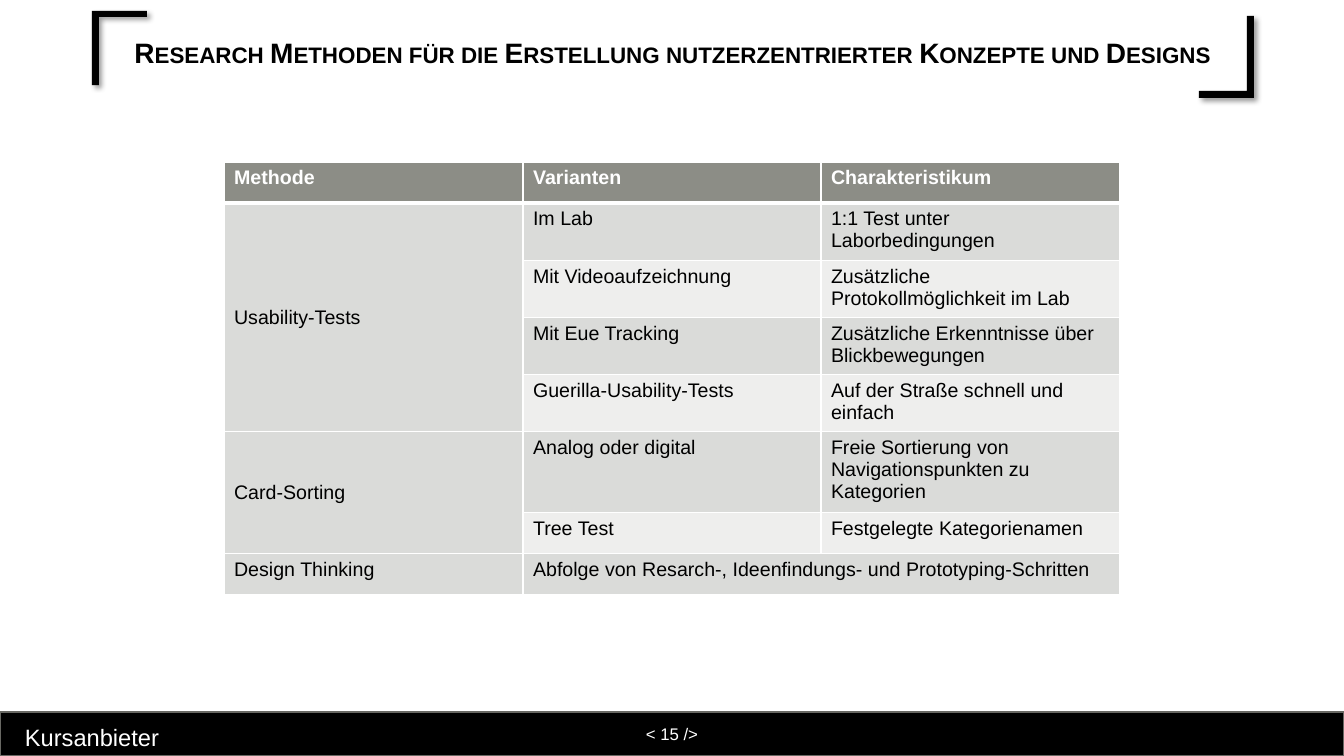
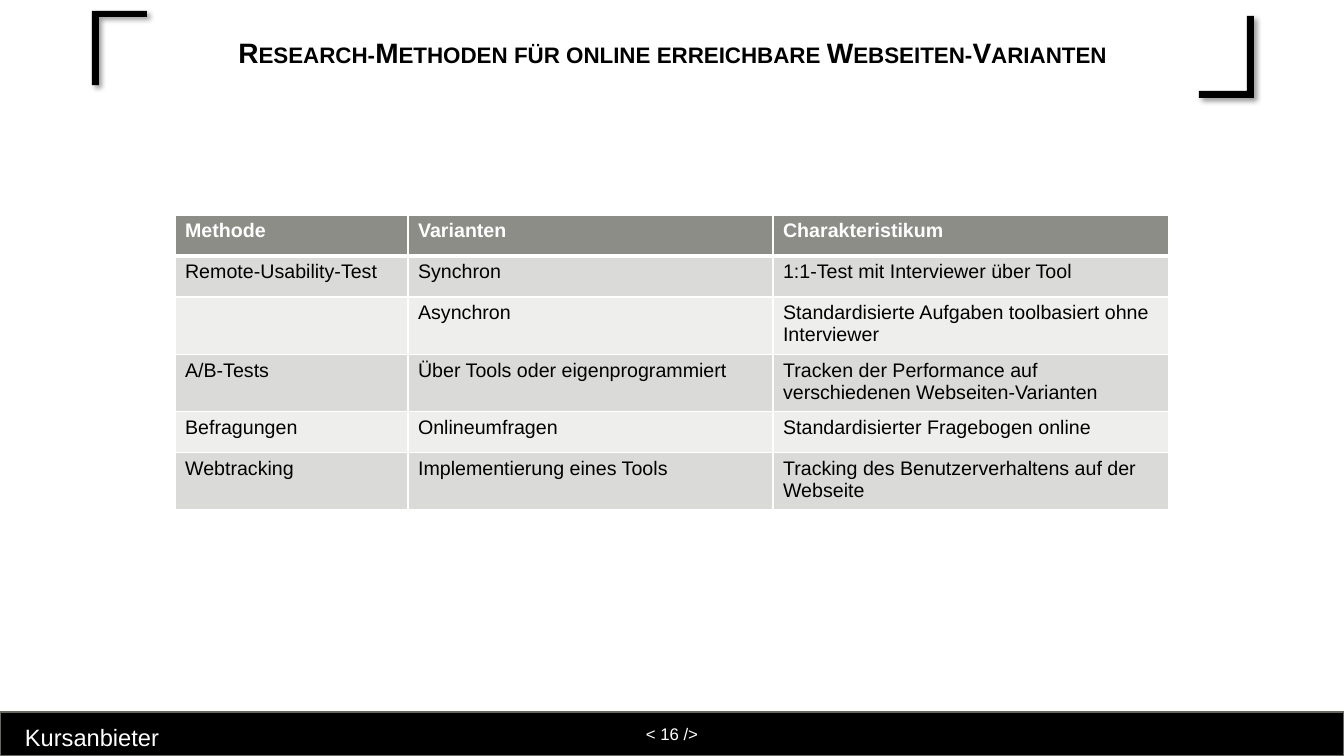
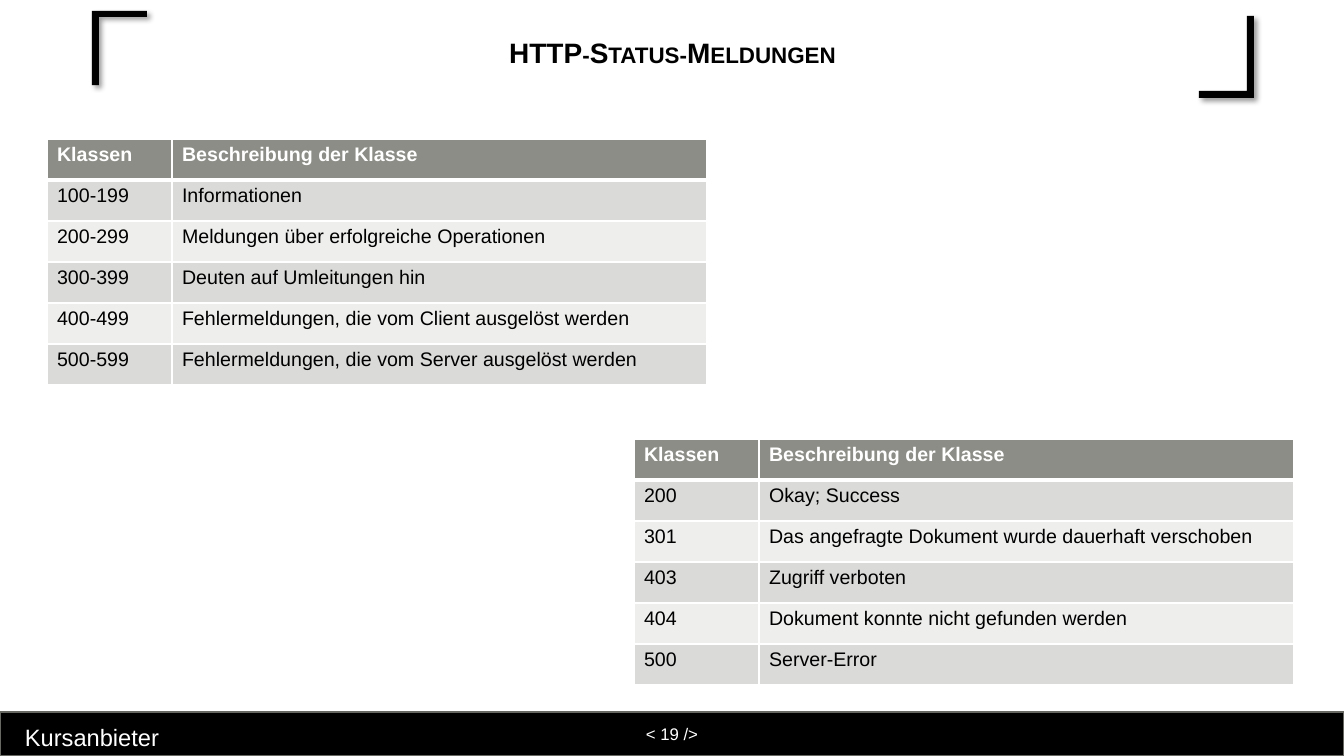
"""Builds three slides on research methods and HTTP status messages."""
from dataclasses import dataclass

from lxml.etree import SubElement
from pptx import Presentation
from pptx.dml.color import RGBColor
from pptx.enum.shapes import MSO_SHAPE
from pptx.enum.text import MSO_ANCHOR as Anchor, PP_ALIGN as Align
from pptx.oxml.ns import qn
from pptx.util import Emu, Pt

EMU_PER_PX = 914400 / 100.8
SLIDE_WIDTH, SLIDE_HEIGHT = 1344, 756
ROW_HEIGHT = 41
FONT = "Arial"
BLACK = RGBColor(0x00, 0x00, 0x00)
WHITE = RGBColor(0xFF, 0xFF, 0xFF)
FOOTER_LINE = RGBColor(0x68, 0x68, 0x63)
HEADER_FILL = RGBColor(0x8C, 0x8D, 0x86)
BAND_FILLS = (RGBColor(0xEE, 0xEE, 0xED), RGBColor(0xDA, 0xDB, 0xD9))
BRACKETS = (
    ((99, 85), (92, 85), (92, 11), (147, 11), (147, 17), (99, 17)),
    ((1247, 16), (1254, 16), (1254, 98), (1199, 98), (1199, 91), (1247, 91)),
)


@dataclass(frozen=True)
class Span:
    row: int
    column: int
    last_row: int
    last_column: int


@dataclass(frozen=True)
class TableSpec:
    left: int
    top: int
    widths: tuple[int, ...]
    rows: tuple[tuple[str, ...], ...]
    spans: tuple[Span, ...] = ()


@dataclass(frozen=True)
class SlideSpec:
    title: str
    number: int
    tables: tuple[TableSpec, ...]


METHOD_HEADER = ("Methode", "Varianten", "Charakteristikum")
CLASS_HEADER = ("Klassen", "Beschreibung der Klasse")
CLASS_WIDTHS = (125, 535)

SLIDES = (
    SlideSpec(
        "Research Methoden für die Erstellung nutzerzentrierter Konzepte und Designs",
        15,
        (
            TableSpec(224, 162, (299, 298, 299), (
                METHOD_HEADER,
                ("Usability-Tests", "Im Lab", "1:1 Test unter Laborbedingungen"),
                ("", "Mit Videoaufzeichnung", "Zusätzliche Protokollmöglichkeit im Lab"),
                ("", "Mit Eue Tracking", "Zusätzliche Erkenntnisse über Blickbewegungen"),
                ("", "Guerilla-Usability-Tests", "Auf der Straße schnell und einfach"),
                ("Card-Sorting", "Analog oder digital",
                 "Freie Sortierung von Navigationspunkten zu Kategorien"),
                ("", "Tree Test", "Festgelegte Kategorienamen"),
                ("Design Thinking",
                 "Abfolge von Resarch-, Ideenfindungs- und Prototyping-Schritten", ""),
            ), (Span(1, 0, 4, 0), Span(5, 0, 6, 0), Span(7, 1, 7, 2))),
        ),
    ),
    SlideSpec(
        "Research-Methoden für online erreichbare Webseiten-Varianten",
        16,
        (
            TableSpec(175, 215, (233, 365, 396), (
                METHOD_HEADER,
                ("Remote-Usability-Test", "Synchron", "1:1-Test mit Interviewer über Tool"),
                ("", "Asynchron", "Standardisierte Aufgaben toolbasiert ohne Interviewer"),
                ("A/B-Tests", "Über Tools oder eigenprogrammiert",
                 "Tracken der Performance auf verschiedenen Webseiten-Varianten"),
                ("Befragungen", "Onlineumfragen", "Standardisierter Fragebogen online"),
                ("Webtracking", "Implementierung eines Tools",
                 "Tracking des Benutzerverhaltens auf der Webseite"),
            )),
        ),
    ),
    SlideSpec(
        "HTTP-Status-Meldungen",
        19,
        (
            TableSpec(47, 139, CLASS_WIDTHS, (
                CLASS_HEADER,
                ("100-199", "Informationen"),
                ("200-299", "Meldungen über erfolgreiche Operationen"),
                ("300-399", "Deuten auf Umleitungen hin"),
                ("400-499", "Fehlermeldungen, die vom Client ausgelöst werden"),
                ("500-599", "Fehlermeldungen, die vom Server ausgelöst werden"),
            )),
            TableSpec(634, 439, CLASS_WIDTHS, (
                CLASS_HEADER,
                ("200", "Okay; Success"),
                ("301", "Das angefragte Dokument wurde dauerhaft verschoben"),
                ("403", "Zugriff verboten"),
                ("404", "Dokument konnte nicht gefunden werden"),
                ("500", "Server-Error"),
            )),
        ),
    ),
)


def px(length: int) -> Emu:
    return Emu(round(length * EMU_PER_PX))


def box(left: int, top: int, width: int, height: int) -> tuple[Emu, ...]:
    return px(left), px(top), px(width), px(height)


def add_run(paragraph, text: str, size: float, color: RGBColor, bold: bool = False):
    run = paragraph.add_run()
    run.text = text
    run.font.name = FONT
    run.font.size = Pt(size)
    run.font.bold = bold
    run.font.color.rgb = color
    return run


def set_title(slide, text: str) -> None:
    title = slide.shapes.title
    title.left, title.top, title.width, title.height = box(105, 24, 1135, 60)
    frame = title.text_frame
    frame.word_wrap = True
    frame.vertical_anchor = Anchor.MIDDLE
    paragraph = frame.paragraphs[0]
    paragraph.alignment = Align.CENTER
    paragraph.line_spacing = 0.9
    run = add_run(paragraph, text, 20, BLACK, bold=True)
    run.font._element.set("cap", "small")


def add_bracket(slide, points: tuple[tuple[int, int], ...]) -> None:
    builder = slide.shapes.build_freeform(*points[0], scale=EMU_PER_PX)
    builder.add_line_segments(points[1:], close=True)
    bracket = builder.convert_to_shape()
    bracket.fill.solid()
    bracket.fill.fore_color.rgb = BLACK
    bracket.line.fill.background()
    bracket.shadow.inherit = False
    effects = bracket._element.spPr.find(qn("a:effectLst"))
    shadow = SubElement(effects, qn("a:outerShdw"), blurRad=str(Pt(4)),
                        dist=str(Pt(3)), dir="2700000", rotWithShape="0")
    color = SubElement(shadow, qn("a:srgbClr"), val=str(BLACK))
    SubElement(color, qn("a:alpha"), val="40000")


def add_footer(slide, number: int) -> None:
    bar = slide.shapes.add_shape(MSO_SHAPE.RECTANGLE, *box(0, 712, SLIDE_WIDTH, 44))
    bar.shadow.inherit = False
    bar.fill.solid()
    bar.fill.fore_color.rgb = BLACK
    bar.line.color.rgb = FOOTER_LINE
    bar.line.width = Pt(1)
    frame = bar.text_frame
    frame.vertical_anchor = Anchor.MIDDLE
    frame.margin_top = frame.margin_bottom = px(12)
    frame.paragraphs[0].alignment = Align.CENTER
    add_run(frame.paragraphs[0], f"< {number} />", 12, WHITE)

    brand = slide.shapes.add_textbox(*box(8, 714, 168, 51))
    brand.text_frame.word_wrap = True
    paragraph = brand.text_frame.paragraphs[0]
    paragraph.alignment = Align.CENTER
    paragraph.line_spacing = 1.14
    paragraph.space_before = Pt(10)
    add_run(paragraph, "Kursanbieter", 16.9, WHITE)


def set_borders(cell, row: int) -> None:
    widths = {"lnL": 1, "lnR": 1, "lnT": 3 if row == 1 else 1, "lnB": 3 if row == 0 else 1}
    properties = cell._tc.get_or_add_tcPr()
    for tag, width in widths.items():
        line = SubElement(properties, qn(f"a:{tag}"), w=str(Pt(width)))
        fill = SubElement(line, qn("a:solidFill"))
        SubElement(fill, qn("a:srgbClr"), val=str(WHITE))


def add_table(slide, spec: TableSpec) -> None:
    frame = slide.shapes.add_table(
        len(spec.rows), len(spec.widths),
        *box(spec.left, spec.top, sum(spec.widths), ROW_HEIGHT * len(spec.rows)))
    table = frame.table
    for column, width in zip(table.columns, spec.widths):
        column.width = px(width)
    for row, texts in enumerate(spec.rows):
        table.rows[row].height = px(ROW_HEIGHT)
        is_header = row == 0
        for column, text in enumerate(texts):
            cell = table.cell(row, column)
            set_borders(cell, row)
            cell.fill.solid()
            cell.fill.fore_color.rgb = HEADER_FILL if is_header else BAND_FILLS[row % 2]
            if text:
                add_run(cell.text_frame.paragraphs[0], text, 14,
                        WHITE if is_header else BLACK, bold=is_header)
    for span in spec.spans:
        cell = table.cell(span.row, span.column)
        cell.merge(table.cell(span.last_row, span.last_column))
        if span.last_row > span.row:
            cell.vertical_anchor = Anchor.MIDDLE


def add_slide(presentation, spec: SlideSpec) -> None:
    slide = presentation.slides.add_slide(presentation.slide_layouts[5])
    for points in BRACKETS:
        add_bracket(slide, points)
    add_footer(slide, spec.number)
    set_title(slide, spec.title)
    for table in spec.tables:
        add_table(slide, table)


def main() -> None:
    presentation = Presentation()
    presentation.slide_width = px(SLIDE_WIDTH)
    presentation.slide_height = px(SLIDE_HEIGHT)
    for spec in SLIDES:
        add_slide(presentation, spec)
    presentation.save("out.pptx")


if __name__ == "__main__":
    main()
